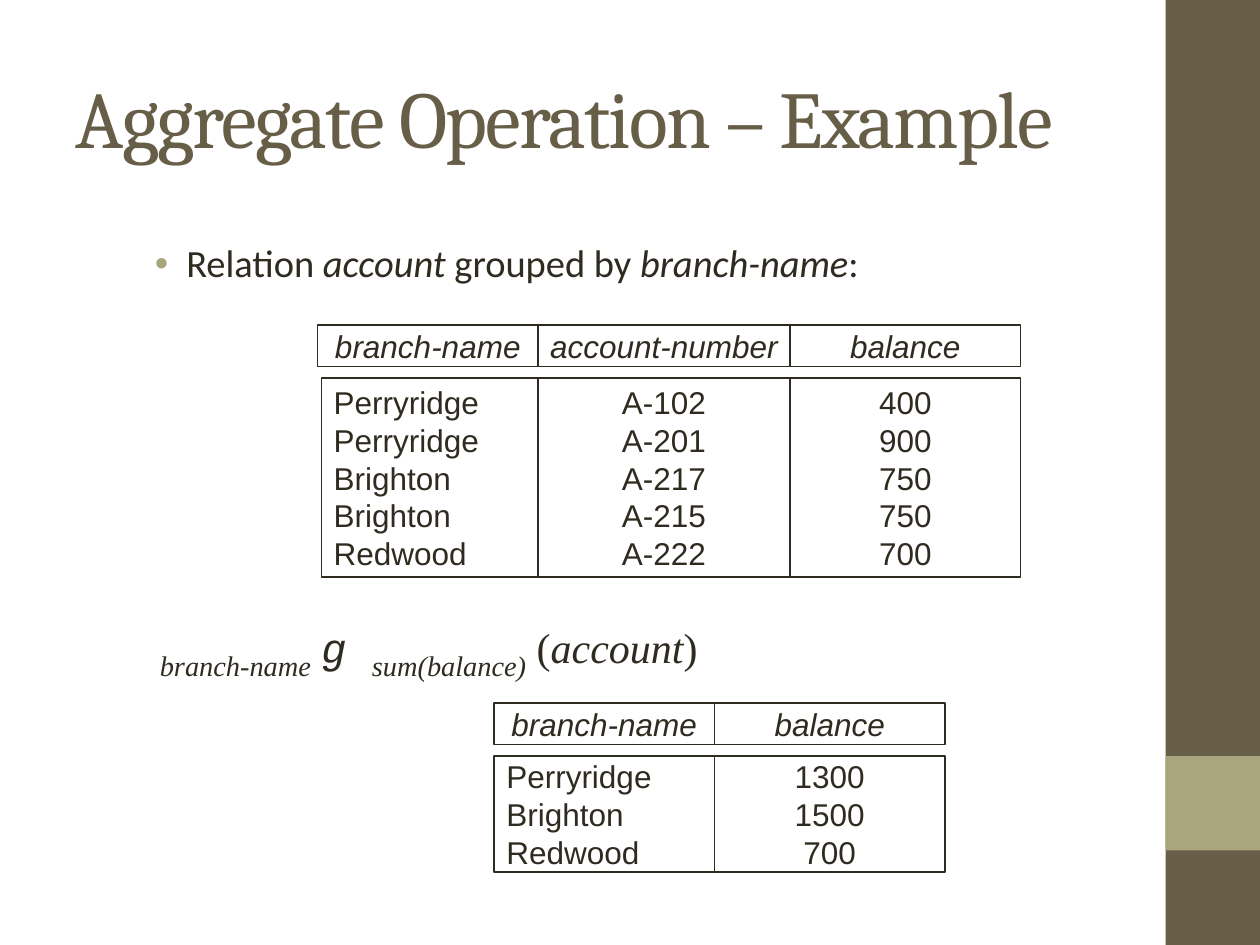
from lxml.etree import SubElement
from pptx import Presentation
from pptx.dml.color import RGBColor
from pptx.enum.shapes import MSO_SHAPE
from pptx.enum.text import MSO_ANCHOR, MSO_AUTO_SIZE, PP_ALIGN
from pptx.oxml.ns import qn
from pptx.util import Emu, Pt

EMU_PER_PX = 9144  # 100 px to the inch
INK, BROWN, OLIVE, WHITE = "2F2B20", "675E47", "A9A57C", "FFFFFF"
HEADER_HEIGHT, HEADER_PITCH = 33, 42


def px(length):
    return Emu(length * EMU_PER_PX)


def color(hex_string):
    return RGBColor.from_string(hex_string)


def add_text(paragraph, text, size=18, font="Arial", fill=INK, italic=False,
             baseline=0, spacing=0):
    """Append a run; baseline is in percent and spacing in points."""
    run = paragraph.add_run()
    run.text = text
    run.font.size = Pt(size)
    run.font.name = font
    run.font.italic = italic
    run.font.color.rgb = color(fill)
    for attribute, value in (("baseline", baseline * 1000), ("spc", spacing * 100)):
        if value:
            run._r.get_or_add_rPr().set(attribute, str(value))


def add_box(slide, box, fill, line=None):
    rect = slide.shapes.add_shape(MSO_SHAPE.RECTANGLE, *map(px, box))
    rect.shadow.inherit = False
    rect.fill.solid()
    rect.fill.fore_color.rgb = color(fill)
    if line:
        rect.line.color.rgb = color(line)
        rect.line.width = Pt(0.75)
    else:
        rect.line.fill.background()
    return rect


def add_paragraph_box(slide, box):
    frame = slide.shapes.add_textbox(*map(px, box)).text_frame
    frame.word_wrap = True
    return frame.paragraphs[0]


def add_sidebar(slide, left, top, width, height):
    add_box(slide, (left, top, width, height), BROWN)
    add_box(slide, (left, top + 600, width, 75), OLIVE)


def add_title(slide, left, top, width, height):
    title = slide.shapes.title
    title.left, title.top, title.width, title.height = map(px, (left, top, width, height))
    frame = title.text_frame
    frame.word_wrap = True
    frame.auto_size = MSO_AUTO_SIZE.NONE
    frame.vertical_anchor = MSO_ANCHOR.MIDDLE
    frame.margin_right = px(20)
    paragraph = frame.paragraphs[0]
    paragraph.alignment = PP_ALIGN.LEFT
    add_text(paragraph, "Aggregate Operation – Example", size=46, font="Cambria",
             fill=BROWN, spacing=-1)


def add_grouping_bullet(slide, *box):
    paragraph = add_paragraph_box(slide, box)
    paragraph.line_spacing = 0.9
    paragraph.space_before = Pt(5.5)
    properties = paragraph._p.get_or_add_pPr()
    properties.set("marL", str(px(38)))
    properties.set("indent", str(px(-25)))
    bullet_color = SubElement(properties, qn("a:buClr"))
    SubElement(bullet_color, qn("a:srgbClr"), val=OLIVE)
    SubElement(properties, qn("a:buFont"), typeface="Arial")
    SubElement(properties, qn("a:buChar"), char="•")
    parts = ("Relation ", "account", " grouped by ", "branch-name", ":")
    for index, part in enumerate(parts):
        add_text(paragraph, part, size=22, font="Calibri", italic=index % 2 == 1)


def add_formula(slide, *box):
    paragraph = add_paragraph_box(slide, box)
    serif = {"font": "Times New Roman", "size": 24}
    subscript = {"font": "Times New Roman", "size": 28, "italic": True, "baseline": -25}
    add_text(paragraph, "branch-name", **subscript)
    add_text(paragraph, " ", **serif)
    add_text(paragraph, "g ", size=24, font="Courier New", italic=True)
    add_text(paragraph, "sum(balance)", **subscript)
    add_text(paragraph, " (", **serif)
    add_text(paragraph, "account", italic=True, **serif)
    add_text(paragraph, ")", **serif)


def add_cell(slide, box, lines, alignment, italic=False):
    frame = add_box(slide, box, WHITE, INK).text_frame
    frame.word_wrap = False
    frame.vertical_anchor = MSO_ANCHOR.MIDDLE
    for index, line in enumerate(lines):
        paragraph = frame.add_paragraph() if index else frame.paragraphs[0]
        paragraph.alignment = alignment
        add_text(paragraph, line, italic=italic)


def add_relation(slide, left, top, body_height, columns, first_body_shift=0):
    """Draw a relation as header boxes above one tall box per column."""
    x = left
    body_top = top + HEADER_PITCH
    for index, (name, width, values) in enumerate(columns):
        shift, alignment = (0, PP_ALIGN.CENTER) if index else (first_body_shift, PP_ALIGN.LEFT)
        add_cell(slide, (x, top, width, HEADER_HEIGHT), [name], PP_ALIGN.CENTER, italic=True)
        add_cell(slide, (x + shift, body_top, width, body_height), values, alignment)
        x += width


def main():
    presentation = Presentation()
    presentation.slide_width, presentation.slide_height = px(1000), px(750)
    slide = presentation.slides.add_slide(presentation.slide_layouts[5])
    add_sidebar(slide, 925, 0, 75, 750)
    add_title(slide, 50, 30, 833, 125)
    add_grouping_bullet(slide, 100, 189, 769, 45)
    add_formula(slide, 117, 483, 769, 45)
    add_relation(slide, 252, 258, 158, [
        ("branch-name", 175, ["Perryridge", "Perryridge", "Brighton", "Brighton", "Redwood"]),
        ("account-number", 200, ["A-102", "A-201", "A-217", "A-215", "A-222"]),
        ("balance", 183, ["400", "900", "750", "750", "700"]),
    ], first_body_shift=3)
    add_relation(slide, 392, 558, 92, [
        ("branch-name", 175, ["Perryridge", "Brighton", "Redwood"]),
        ("balance", 183, ["1300", "1500", "700"]),
    ])
    presentation.save("out.pptx")


if __name__ == "__main__":
    main()
